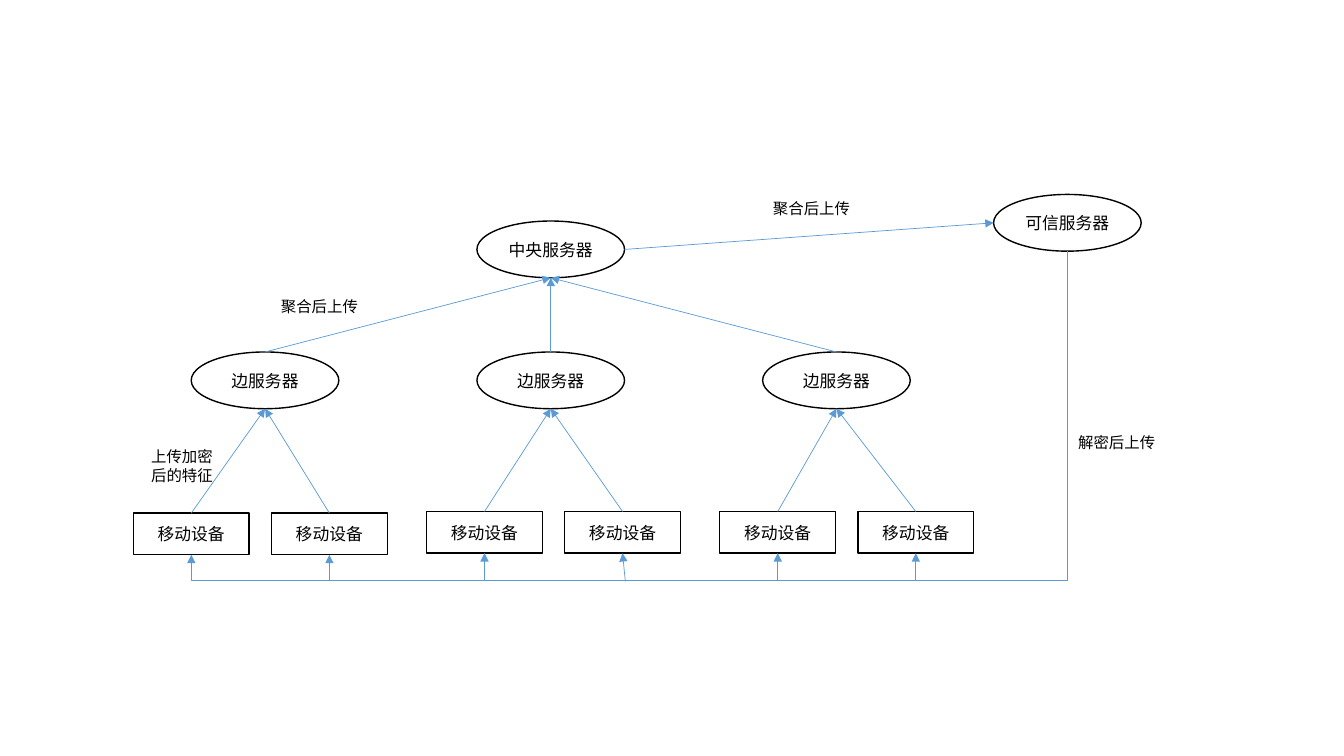
from dataclasses import dataclass

from lxml import etree
from pptx import Presentation
from pptx.dml.color import RGBColor
from pptx.enum import shapes, text
from pptx.oxml import ns
from pptx.util import Cm, Pt


@dataclass(frozen=True)
class Theme:
    font: str = "Lato"
    ink: RGBColor = RGBColor(0, 0, 0)
    paper: RGBColor = RGBColor(255, 255, 255)
    arrow: RGBColor = RGBColor(0x5B, 0x9B, 0xD5)
    node_size: int = 12
    label_size: int = 11
    outline: float = 1
    arrow_width: float = 0.5


@dataclass(frozen=True)
class Box:
    left: float
    top: float
    width: float
    height: float

    def lengths(self):
        return Cm(self.left), Cm(self.top), Cm(self.width), Cm(self.height)


THEME = Theme()
SERVER_W, SERVER_H = 3.72, 1.43
DEVICE_W, DEVICE_H = 2.92, 1.05
BUS_Y = 14.65
TOP, BOTTOM = 0, 2


def write(frame, wording, size):
    frame.text = wording
    frame.word_wrap = True
    font = frame.paragraphs[0].runs[0].font
    font.name, font.size, font.color.rgb = THEME.font, Pt(size), THEME.ink


def add_node(slide, preset, box, wording):
    node = slide.shapes.add_shape(preset, *box.lengths())
    node.shadow.inherit = False
    node.fill.solid()
    node.fill.fore_color.rgb = THEME.paper
    node.line.color.rgb = THEME.ink
    node.line.width = Pt(THEME.outline)
    write(node.text_frame, wording, THEME.node_size)
    node.text_frame.vertical_anchor = text.MSO_ANCHOR.MIDDLE
    node.text_frame.paragraphs[0].alignment = text.PP_ALIGN.CENTER
    return node


def add_server(slide, left, top, wording):
    box = Box(left, top, SERVER_W, SERVER_H)
    return add_node(slide, shapes.MSO_SHAPE.OVAL, box, wording)


def add_label(slide, box, wording):
    label = slide.shapes.add_textbox(*box.lengths())
    write(label.text_frame, wording, THEME.label_size)
    label.text_frame.auto_size = text.MSO_AUTO_SIZE.SHAPE_TO_FIT_TEXT


def add_arrow(slide, start, end, kind=shapes.MSO_CONNECTOR.STRAIGHT):
    arrow = slide.shapes.add_connector(kind, *start, *end)
    arrow.line.color.rgb = THEME.arrow
    arrow.line.width = Pt(THEME.arrow_width)
    line = arrow.line._get_or_add_ln()
    etree.SubElement(line, ns.qn("a:tailEnd"), type="triangle")
    etree.SubElement(arrow._element.spPr, ns.qn("a:effectLst"))
    return arrow


def top_of(node):
    return node.left + node.width // 2, node.top


def bottom_of(node):
    return node.left + node.width // 2, node.top + node.height


def draw_center(slide, box):
    return add_server(slide, box.left, box.top, "中央服务器")


def draw_cluster(slide, box, edge_shift, center):
    edge = add_server(slide, box.left + edge_shift, box.top, "边服务器")
    add_arrow(slide, top_of(edge), bottom_of(center)).begin_connect(edge, TOP)
    device_top = box.top + box.height - DEVICE_H
    devices = []
    for left in (box.left, box.left + box.width - DEVICE_W):
        device_box = Box(left, device_top, DEVICE_W, DEVICE_H)
        device = add_node(slide, shapes.MSO_SHAPE.RECTANGLE, device_box, "移动设备")
        add_arrow(slide, top_of(device), bottom_of(edge)).begin_connect(device, TOP)
        devices.append(device)
    return devices


def draw_trusted(slide, box, center):
    trusted = add_server(slide, box.left, box.top, "可信服务器")
    center_side = center.left + center.width, center.top + center.height // 2
    trusted_side = trusted.left, trusted.top + trusted.height // 2
    add_arrow(slide, center_side, trusted_side)
    return trusted


def draw_return(slide, trusted, devices, bus_y):
    start_x, start_y = bottom_of(trusted)
    end_x, end_y = bottom_of(devices[0])
    middle_x, middle_y = (start_x + end_x) // 2, (start_y + end_y) // 2
    half_span, half_drop = (start_x - end_x) // 2, (end_y - start_y) // 2
    bus = add_arrow(
        slide,
        (middle_x - half_drop, middle_y - half_span),
        (middle_x + half_drop, middle_y + half_span),
        shapes.MSO_CONNECTOR.ELBOW,
    )
    properties = bus._element.spPr
    properties.find(ns.qn("a:xfrm")).set("rot", "5400000")
    guides = properties.find(ns.qn("a:prstGeom")).get_or_add_avLst()
    etree.SubElement(guides, ns.qn("a:gd"), name="adj1", fmla="val 108300")

    for number, device in enumerate(devices[1:], 2):
        x, y = bottom_of(device)
        lean = Cm(0.07) if number == 4 else 0
        add_arrow(slide, (x + lean, Cm(bus_y)), (x, y)).end_connect(device, BOTTOM)


def draw_labels(slide, box):
    for left, top, width, height, wording in (
        (3.56, 11.15, 2.39, 1.19, "上传加密后的特征"),
        (6.83, 7.37, 2.92, 0.73, "聚合后上传"),
        (19.23, 4.9, 2.92, 0.73, "聚合后上传"),
        (26.92, 10.8, 2.92, 0.73, "解密后上传"),
    ):
        add_label(slide, Box(box.left + left, box.top + top, width, height), wording)


def main():
    deck = Presentation()
    deck.slide_width, deck.slide_height = Cm(33.87), Cm(19.05)
    slide = deck.slides.add_slide(deck.slide_layouts[6])

    center = draw_center(slide, Box(12.02, 5.57, SERVER_W, SERVER_H))
    devices = []
    for index, height in enumerate((5.11, 5.07, 5.07)):
        cluster = Box(3.36 + 7.39 * index, 8.87, 6.4, height)
        devices += draw_cluster(slide, cluster, 1.46 - 0.19 * index, center)
    trusted = draw_trusted(slide, Box(25.04, 4.9, SERVER_W, SERVER_H), center)
    draw_return(slide, trusted, devices, BUS_Y)
    draw_labels(slide, Box(0, 0, 33.87, 19.05))

    deck.save("out.pptx")


if __name__ == "__main__":
    main()
